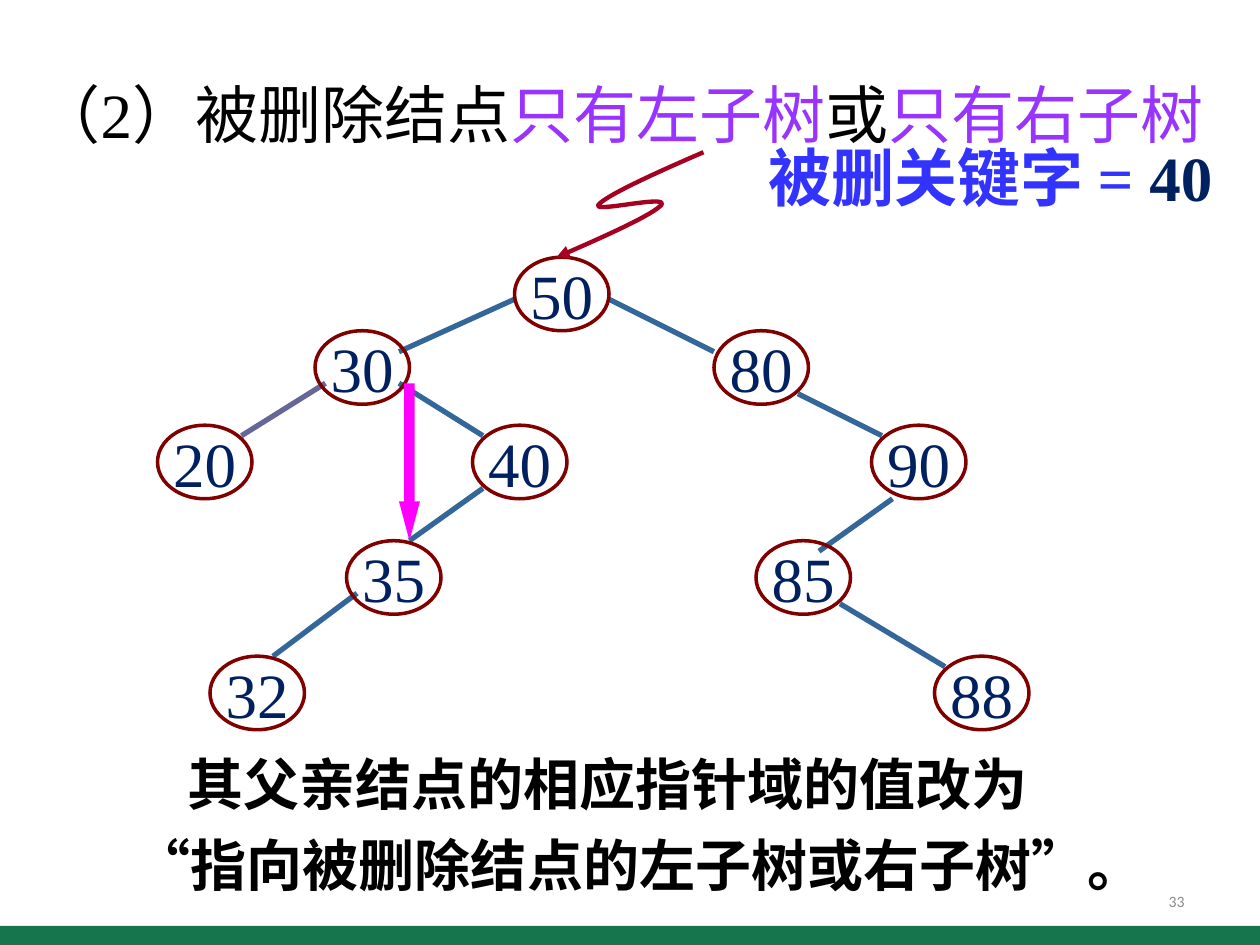
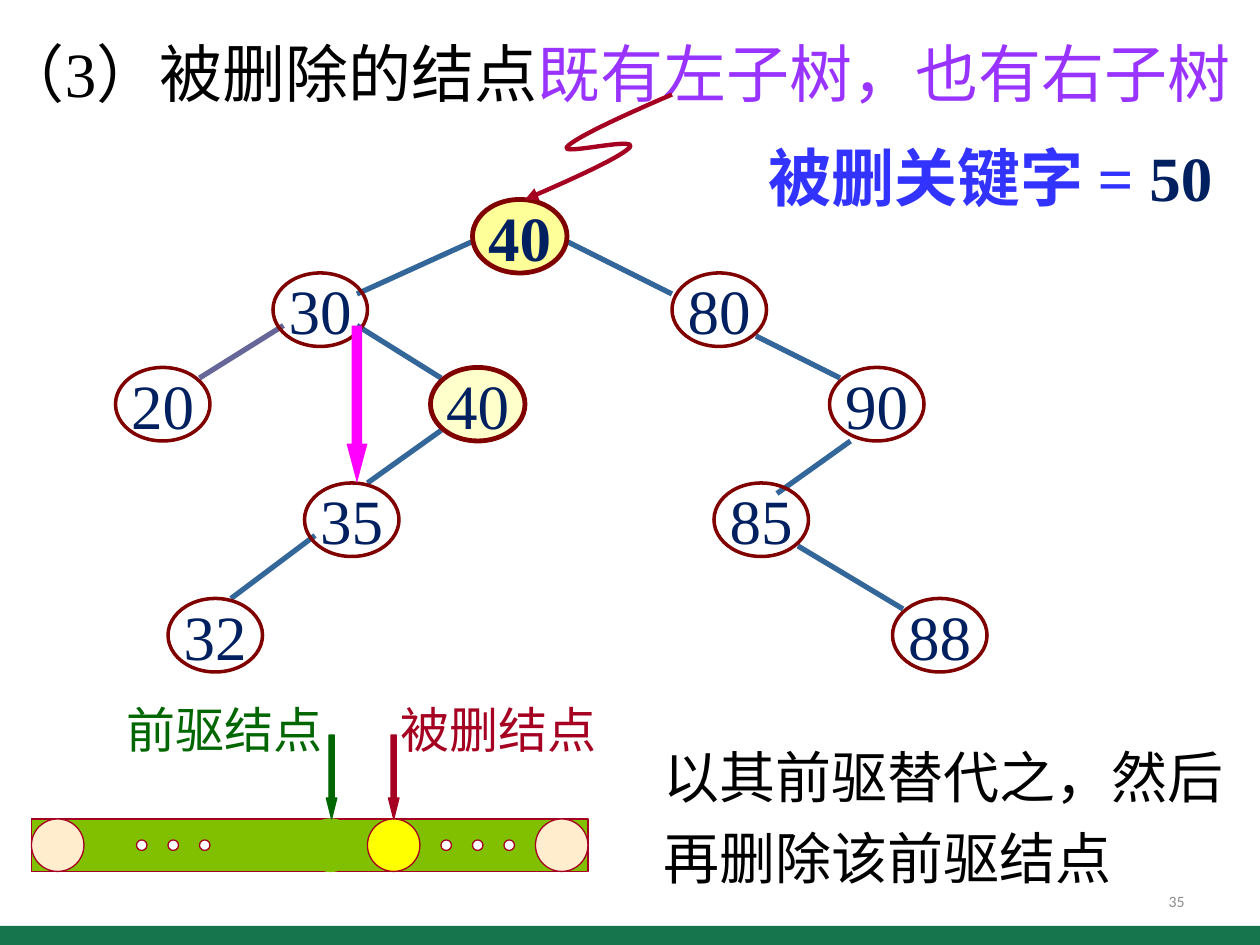
from lxml import etree
from pptx import Presentation
from pptx.dml.color import RGBColor
from pptx.enum import shapes, text
from pptx.oxml import ns
from pptx.util import Pt

COLORS = {
    "band": "16754D", "number": "8C8C8C", "ink": "000000", "accent": "9933FF",
    "key_label": "3333FF", "key": "002060", "outline": "800000",
    "edge": "336699", "edge_20": "666699", "pointer": "FF00FF",
    "deleted": "A50021", "predecessor": "006600", "highlight": "FFFF99",
    "strip": "80C000", "strip_end": "FFEDCD", "strip_deleted": "FFFF00",
    "white": "FFFFFF",
}
OVAL = shapes.MSO_SHAPE.OVAL
RECTANGLE = shapes.MSO_SHAPE.RECTANGLE
DOWN_ARROW = shapes.MSO_SHAPE.DOWN_ARROW
LEFT, CENTER, RIGHT = (text.PP_ALIGN.LEFT, text.PP_ALIGN.CENTER,
                       text.PP_ALIGN.RIGHT)
TOP, MIDDLE = text.MSO_ANCHOR.TOP, text.MSO_ANCHOR.MIDDLE

# Tree geometry, measured from the top left corner of the root node
NODE_WIDTH, NODE_HEIGHT = 54, 42
NODES = [
    ("30", -114, 42), ("80", 114, 42), ("20", -204, 96), ("40", -24, 96),
    ("90", 204, 96), ("35", -96, 162), ("85", 138, 162), ("32", -174, 228),
    ("88", 240, 228),
]
EDGES = [
    (0, 24, -66, 54, "edge"), (54, 24, 114, 54, "edge"),
    (-108, 72, -156, 102, "edge_20"), (-66, 72, -18, 102, "edge"),
    (162, 78, 210, 102, "edge"), (-18, 132, -60, 162, "edge"),
    (216, 138, 174, 168, "edge"), (-90, 192, -138, 228, "edge"),
    (186, 198, 246, 234, "edge"),
]
# Start point, then three Bezier points per curve, measured from the arrow tip
SQUIGGLE = [
    (84, -60), (56, -48), (28, -35), (24, -30), (20, -25),
    (64, -36), (60, -30), (56, -25), (28, -12), (0, 0),
]

PAGES = [
    {
        "number": "33", "root": (294, 147), "root_key": "50", "filled": {},
        "title_at": (14.4, 31, 687, 55), "title_spacing": 1.2,
        "title": [("（2）被删除结点", "ink"), ("只有左子树", "accent"),
                  ("或", "ink"), ("只有右子树", "accent")],
        "pointer": (228, 219), "tip": (318, 147), "deleted_key": "40",
        "note_at": (70, 417, 580, 96), "note_bold": True, "note_indent": 30,
        "note": "其父亲结点的相应指针域的值改为 “指向被删除结点的左子树或右子树”。",
    },
    {
        "number": "35", "root": (270, 114), "root_key": "40",
        "filled": {(0, 0): 100, (-24, 96): 50},
        "title_at": (-6, 16, 719, 50), "title_spacing": 1.0,
        "title": [("（3）被删除的结点", "ink"),
                  ("既有左子树，也有右子树", "accent")],
        "pointer": (198, 186), "tip": (300, 114), "deleted_key": "50",
        "note_at": (372, 413, 344, 96), "note_bold": False, "note_indent": 0,
        "note": "以其前驱替代之，然后再删除该前驱结点",
    },
]


def draw(page, kind, bounds, fill=None, line=None, weight=0.75):
    """Add a flat preset shape; without a colour, fill or line is left off."""
    shape = page.shapes.add_shape(kind, *map(Pt, bounds))
    shape.shadow.inherit = False
    if fill:
        shape.fill.solid()
        shape.fill.fore_color.rgb = RGBColor.from_string(COLORS[fill])
    else:
        shape.fill.background()
    if line:
        shape.line.color.rgb = RGBColor.from_string(COLORS[line])
        shape.line.width = Pt(weight)
    else:
        shape.line.fill.background()
    return shape


def write(box, spans, size, align=LEFT, anchor=TOP, wrap=True, spacing=1.0,
          bold=False, font="Times New Roman"):
    """Fill the box with one paragraph of (words, colour) spans."""
    frame = box.text_frame
    frame.word_wrap = wrap
    frame.vertical_anchor = anchor
    para = frame.paragraphs[0]
    para.alignment = align
    para.line_spacing = spacing
    for words, color in spans:
        span = para.add_run()
        span.text = words
        look = {"size": Pt(size), "name": font, "bold": bold}
        for name, value in look.items():
            setattr(span.font, name, value)
        span.font.color.rgb = RGBColor.from_string(COLORS[color])
    return para


deck = Presentation()
deck.slide_width, deck.slide_height = Pt(720), Pt(540)

for content in PAGES:
    page = deck.slides.add_slide(deck.slide_layouts[6])
    root_x, root_y = content["root"]

    # Footer
    draw(page, RECTANGLE, (0, 529, 720, 13), "band")
    box = page.shapes.add_textbox(Pt(516), Pt(500.5), Pt(168), Pt(29))
    write(box, [(content["number"], "number")], 9, RIGHT, MIDDLE,
          font="Calibri")

    # Tree
    for x1, y1, x2, y2, color in EDGES:
        edge = page.shapes.add_connector(
            shapes.MSO_CONNECTOR.STRAIGHT, Pt(root_x + x1), Pt(root_y + y1),
            Pt(root_x + x2), Pt(root_y + y2))
        edge.line.color.rgb = RGBColor.from_string(COLORS[color])
        edge.line.width = Pt(3)
        etree.SubElement(edge.element.spPr, ns.qn("a:effectLst"))
    for key, x, y in [(content["root_key"], 0, 0)] + NODES:
        opacity = content["filled"].get((x, y))
        node = draw(page, OVAL,
                    (root_x + x, root_y + y, NODE_WIDTH, NODE_HEIGHT),
                    "highlight" if opacity else None, "outline",
                    2.75 if opacity else 2)
        if opacity and opacity < 100:
            tint = node.element.spPr.find(
                f"{ns.qn('a:solidFill')}/{ns.qn('a:srgbClr')}")
            etree.SubElement(tint, ns.qn("a:alpha"), val=str(opacity * 1000))
        write(node, [(key, "key")], 36, CENTER, MIDDLE, wrap=False,
              bold=opacity == 100)

    # Title
    box = page.shapes.add_textbox(*map(Pt, content["title_at"]))
    write(box, content["title"], 36, spacing=content["title_spacing"])

    # New pointer from the parent node to the subtree
    pointer = draw(page, DOWN_ARROW, (*content["pointer"], 12, 90), "pointer")
    pointer.adjustments[0], pointer.adjustments[1] = 0.5, 1.875

    # Note
    box = page.shapes.add_textbox(*map(Pt, content["note_at"]))
    para = write(box, [(content["note"], "ink")], 32, spacing=1.2,
                 bold=content["note_bold"])
    if content["note_indent"]:
        para._p.get_or_add_pPr().set("indent", str(Pt(content["note_indent"])))

    # Curved arrow to the root
    tip_x, tip_y = content["tip"]
    points = [(Pt(tip_x + x), Pt(tip_y + y)) for x, y in SQUIGGLE]
    builder = page.shapes.build_freeform(*points[0])
    builder.add_line_segments(points[1:], close=False)
    squiggle = builder.convert_to_shape()
    squiggle.shadow.inherit = False
    squiggle.fill.background()
    squiggle.line.color.rgb = RGBColor.from_string(COLORS["deleted"])
    squiggle.line.width = Pt(2.5)
    segments = list(squiggle.element.iter(ns.qn("a:lnTo")))
    for start in range(0, len(segments), 3):
        curve = etree.SubElement(segments[0].getparent(),
                                 ns.qn("a:cubicBezTo"))
        for segment in segments[start:start + 3]:
            curve.append(segment[0])
    for segment in segments:
        segment.getparent().remove(segment)
    etree.SubElement(squiggle.element.spPr.find(ns.qn("a:ln")),
                     ns.qn("a:tailEnd"), type="triangle")

    # Key to delete
    box = page.shapes.add_textbox(Pt(432), Pt(75.6), Pt(270), Pt(51))
    write(box, [("被删关键字 = ", "key_label"),
                (content["deleted_key"], "key")], 36, bold=True)

# In-order sequence at the foot of the last page
draw(page, RECTANGLE, (18, 468, 318, 30), "strip", "deleted")
for x, fill, line in [(18, "strip_end", "deleted"),
                      (306, "strip_end", "deleted"),
                      (210, "strip_deleted", "deleted"),
                      (174, "strip", "strip")]:
    draw(page, OVAL, (x, 468, 30, 30), fill, line)
for first_dot in (78, 252):
    for step in range(3):
        draw(page, OVAL, (first_dot + 18 * step, 480, 6, 6), "white",
             "deleted")
for label, label_x, arrow_x, color in [
        ("被删结点", 222, 222, "deleted"),
        ("前驱结点", 65.5, 186.5, "predecessor")]:
    arrow = draw(page, DOWN_ARROW, (arrow_x, 420, 6, 48), color, color)
    arrow.adjustments[0], arrow.adjustments[1] = 0.5, 2
    box = page.shapes.add_textbox(Pt(label_x), Pt(396), Pt(127), Pt(41))
    write(box, [(label, color)], 28, wrap=False)

deck.save("out.pptx")
